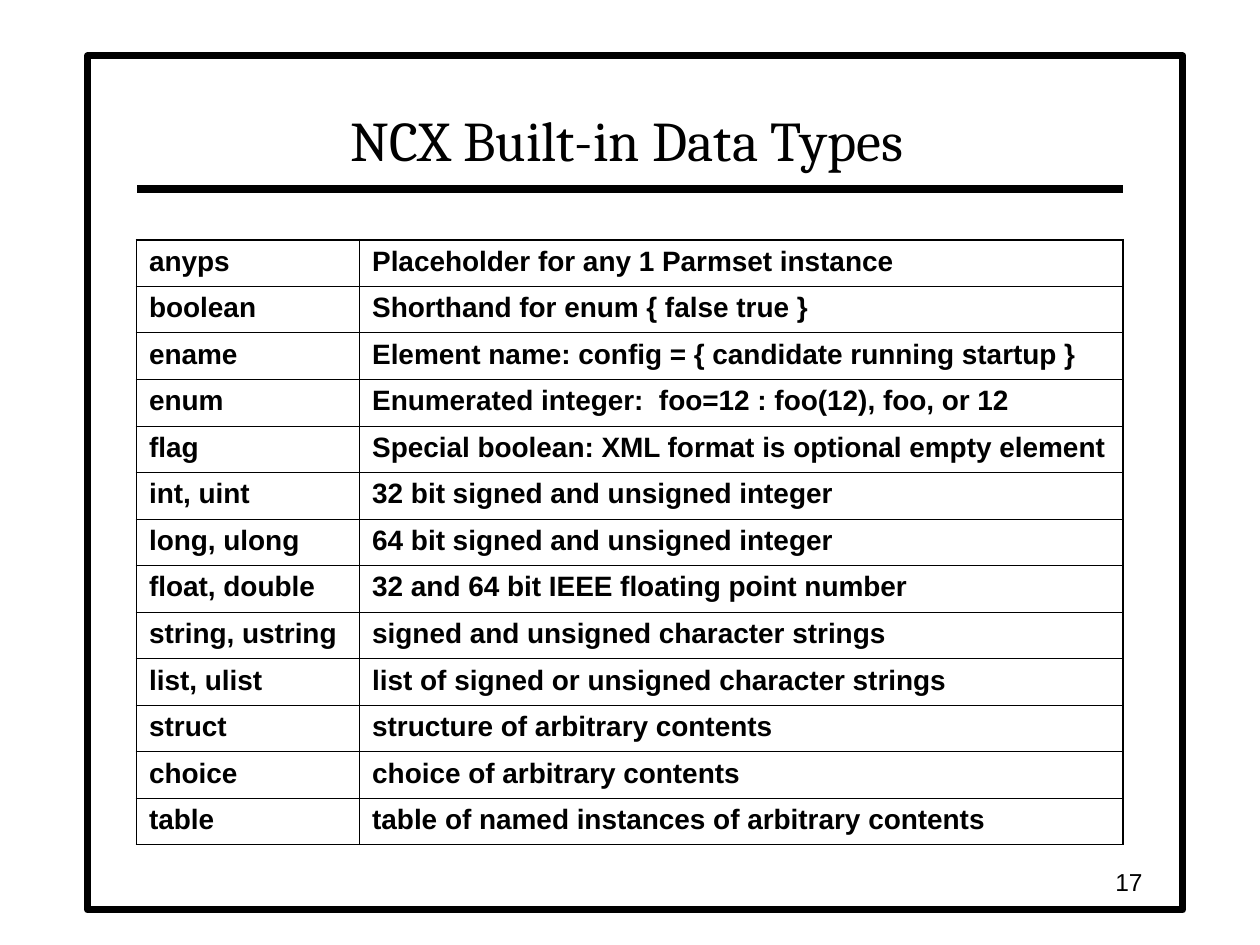
from lxml import etree
from pptx import Presentation
from pptx.dml.color import RGBColor
from pptx.enum.shapes import MSO_CONNECTOR, MSO_SHAPE
from pptx.enum.text import MSO_ANCHOR, PP_ALIGN
from pptx.oxml.ns import qn
from pptx.util import Pt

RECTANGLE = MSO_SHAPE.RECTANGLE
STRAIGHT = MSO_CONNECTOR.STRAIGHT
BOTTOM, MIDDLE = MSO_ANCHOR.BOTTOM, MSO_ANCHOR.MIDDLE
LEFT, CENTER, RIGHT = PP_ALIGN.LEFT, PP_ALIGN.CENTER, PP_ALIGN.RIGHT

BLACK, WHITE = "000000", "FFFFFF"
OUTER_BORDER, INNER_BORDER = 1.08, 0.45
COLUMN_WIDTHS = (127.5, 436.3)
ROW_HEIGHT = 26.6
DATA_TYPES = [
    ("anyps", "Placeholder for any 1 Parmset instance"),
    ("boolean", "Shorthand for enum { false true }"),
    ("ename", "Element name: config = { candidate running startup }"),
    ("enum", "Enumerated integer:  foo=12 : foo(12), foo, or 12"),
    ("flag", "Special boolean: XML format is optional empty element"),
    ("int, uint", "32 bit signed and unsigned integer"),
    ("long, ulong", "64 bit signed and unsigned integer"),
    ("float, double", "32 and 64 bit IEEE floating point number"),
    ("string, ustring", "signed and unsigned character strings"),
    ("list, ulist", "list of signed or unsigned character strings"),
    ("struct", "structure of arbitrary contents"),
    ("choice", "choice of arbitrary contents"),
    ("table", "table of named instances of arbitrary contents"),
]


def color(value):
    return RGBColor.from_string(value)


def write(frame, text, font, size, align, bold=False):
    frame.text = text
    para = frame.paragraphs[0]
    para.alignment = align
    span = para.runs[0]
    span.font.name = font
    span.font.size = Pt(size)
    span.font.bold = bold
    span.font.color.rgb = color(BLACK)


def add_frame(page, left, top, width, height):
    frame = page.shapes.add_shape(RECTANGLE, Pt(left), Pt(top), Pt(width), Pt(height))
    frame.shadow.inherit = False
    frame.fill.solid()
    frame.fill.fore_color.rgb = color(WHITE)
    frame.line.color.rgb = color(BLACK)
    frame.line.width = Pt(4)


def add_rule(page, left, right, y):
    rule = page.shapes.add_connector(STRAIGHT, Pt(left), Pt(y), Pt(right), Pt(y))
    rule.line.color.rgb = color(BLACK)
    rule.line.width = Pt(4.5)
    etree.SubElement(rule.element.spPr, qn("a:effectLst"))


def add_text(page, left, top, width, height, text, font, size, align, anchor):
    box = page.shapes.add_textbox(Pt(left), Pt(top), Pt(width), Pt(height))
    box.text_frame.word_wrap = True
    box.text_frame.vertical_anchor = anchor
    write(box.text_frame, text, font, size, align)


def set_borders(cell, widths):
    properties = cell._tc.get_or_add_tcPr()
    for side, width in zip("LRTB", widths):
        line = etree.SubElement(properties, qn(f"a:ln{side}"), w=str(Pt(width)))
        fill = etree.SubElement(line, qn("a:solidFill"))
        etree.SubElement(fill, qn("a:srgbClr"), val=BLACK)


def add_type_table(page, left, top):
    row_count, column_count = len(DATA_TYPES), len(COLUMN_WIDTHS)
    table = page.shapes.add_table(
        row_count, column_count, Pt(left), Pt(top),
        Pt(sum(COLUMN_WIDTHS)), Pt(ROW_HEIGHT * row_count),
    ).table
    table.first_row = False
    table.horz_banding = False
    for column, width in zip(table.columns, COLUMN_WIDTHS):
        column.width = Pt(width)
    for row_index, texts in enumerate(DATA_TYPES):
        table.rows[row_index].height = Pt(ROW_HEIGHT)
        for column_index, text in enumerate(texts):
            cell = table.cell(row_index, column_index)
            write(cell.text_frame, text, "Arial", 16, LEFT, bold=True)
            on_edge = (
                column_index == 0, column_index == column_count - 1,
                row_index == 0, row_index == row_count - 1,
            )
            set_borders(cell, [OUTER_BORDER if edge else INNER_BORDER for edge in on_edge])
            cell.fill.background()


def main():
    deck = Presentation()
    deck.slide_width, deck.slide_height = Pt(720), Pt(540)
    page = deck.slides.add_slide(deck.slide_layouts[6])
    add_frame(page, 50, 32, 626, 488)
    add_rule(page, 78.3, 642, 108)
    add_text(page, 78, 36, 561, 66, "NCX Built-in Data Types", "Cambria", 32, CENTER, BOTTOM)
    add_type_table(page, 78, 137)
    add_text(page, 510, 492, 150, 24, "17", "Arial", 14, RIGHT, MIDDLE)
    deck.save("out.pptx")


if __name__ == "__main__":
    main()
